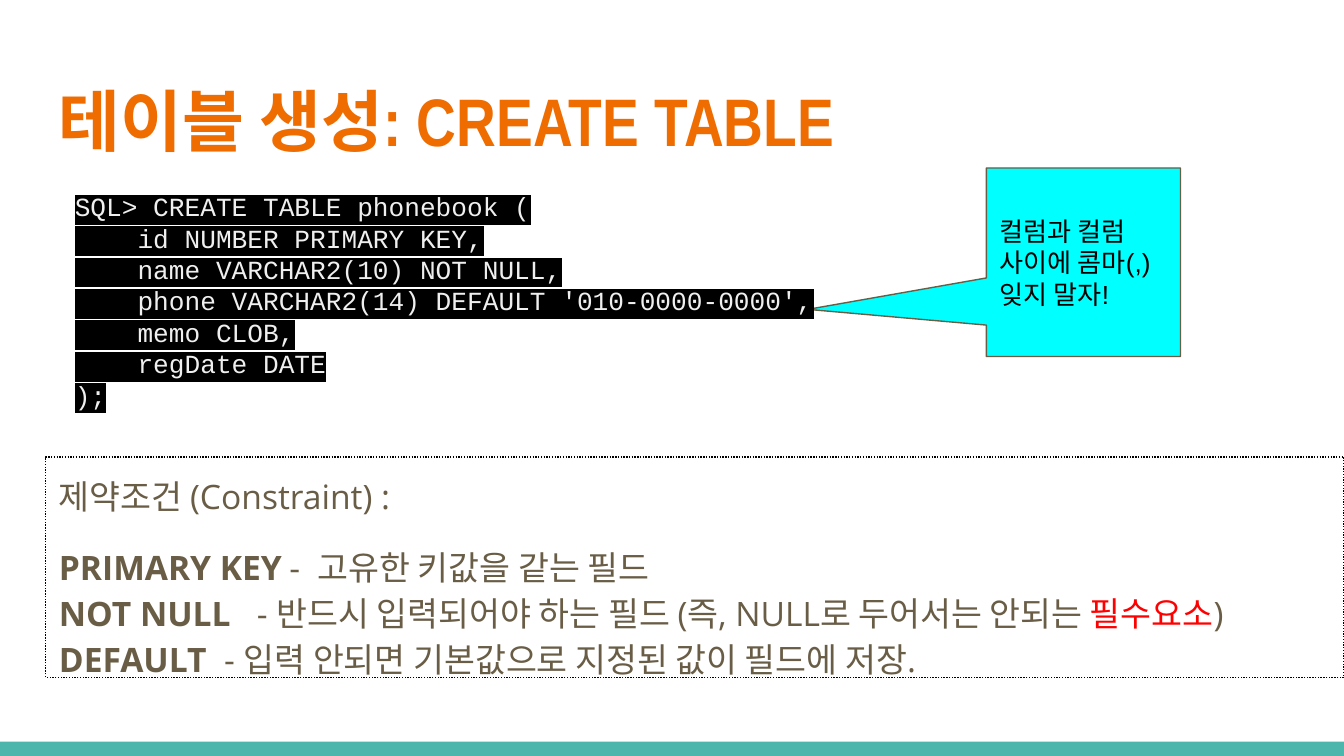
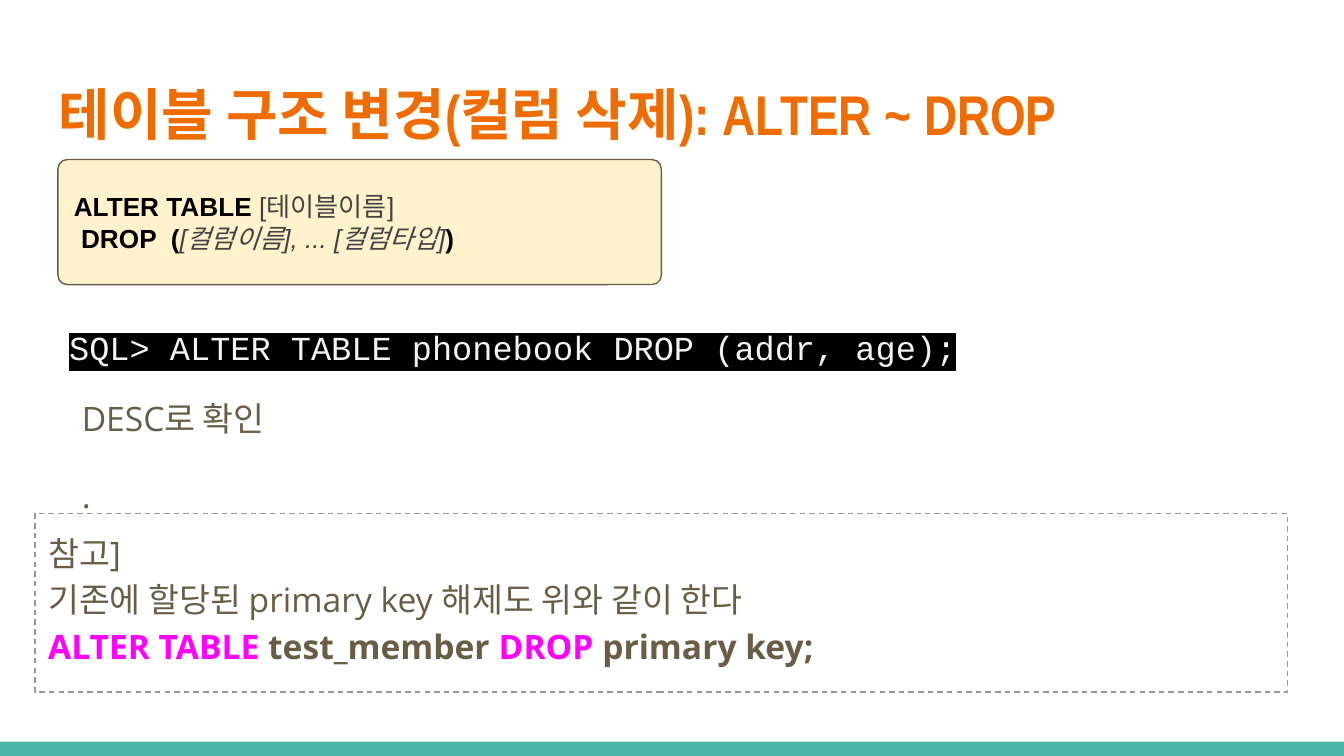
from lxml import etree
from pptx import Presentation
from pptx.dml.color import RGBColor
from pptx.enum import dml, shapes, text
from pptx.oxml import ns
from pptx.util import Pt

WHITE = RGBColor(0xFF, 0xFF, 0xFF)
BLACK = RGBColor(0, 0, 0)
TEAL = RGBColor(0x4D, 0xB6, 0xAC)
ORANGE = RGBColor(0xEF, 0x6C, 0x00)
BROWN = RGBColor(0x69, 0x5D, 0x46)
RED = RGBColor(0xFF, 0, 0)
CYAN = RGBColor(0, 0xFF, 0xFF)
PINK = RGBColor(0xFF, 0, 0xFF)
CREAM = RGBColor(0xFF, 0xF2, 0xCC)
DARK = RGBColor(0x43, 0x43, 0x43)
GREY = RGBColor(0x99, 0x99, 0x99)
PALE = RGBColor(0xEF, 0xEF, 0xEF)
SNOW = RGBColor(0xF3, 0xF3, 0xF3)

WIDTH, HEIGHT = 720, 405
BAND = 7.6
INSET = 7.2
TITLE = (24.5, 35.3, 671, 55.4)
KIND = shapes.MSO_SHAPE
DASH = dml.MSO_LINE


def frame(shape, middle=False):
    body = shape.text_frame
    body.word_wrap = True
    body.margin_left = body.margin_right = Pt(INSET)
    body.margin_top = body.margin_bottom = Pt(INSET)
    body.vertical_anchor = (text.MSO_ANCHOR.MIDDLE if middle
                            else text.MSO_ANCHOR.TOP)
    return body


def panel(slide, kind, box, fill=None, line=None, dash=None, adj=()):
    shape = slide.shapes.add_shape(kind, *map(Pt, box))
    shape.shadow.inherit = False
    for i, value in enumerate(adj):
        shape.adjustments[i] = value
    if fill is None:
        shape.fill.background()
    else:
        shape.fill.solid()
        shape.fill.fore_color.rgb = fill
    if line is None:
        shape.line.fill.background()
    else:
        shape.line.color.rgb = line
        shape.line.width = Pt(0.75)
        if dash:
            shape.line.dash_style = dash
    return shape


def add_run(para, words, **style):
    for i, part in enumerate(words.split("\n")):
        if i:
            para.add_line_break()
        if part:
            run = para.add_run()
            run.text = part
            for key, value in style.items():
                if key == "color":
                    run.font.color.rgb = value
                else:
                    setattr(run.font, key, value)


def write(body, rows, name, size, color, bold=None):
    paras = []
    for i, row in enumerate(rows):
        para = body.add_paragraph() if i else body.paragraphs[0]
        para.alignment = text.PP_ALIGN.LEFT
        para.font.name, para.font.size = name, Pt(size)
        para.font.color.rgb = color
        para.font.bold = bold
        for words, style in row:
            add_run(para, words, **style)
        paras.append(para)
    return paras


def mark(run, color):
    light = etree.SubElement(run._r.get_or_add_rPr(), ns.qn("a:highlight"))
    etree.SubElement(light, ns.qn("a:srgbClr"), val=str(color))


def page(deck, title, size):
    slide = deck.slides.add_slide(deck.slide_layouts[6])
    slide.background.fill.solid()
    slide.background.fill.fore_color.rgb = WHITE
    panel(slide, KIND.RECTANGLE, (0, HEIGHT - BAND, WIDTH, BAND), TEAL)
    head = slide.shapes.add_textbox(*map(Pt, TITLE))
    write(frame(head), [[(title, {})]], "Arial Narrow", size, ORANGE, True)
    return slide


def code(slide, box, lines, size, color):
    area = slide.shapes.add_textbox(*map(Pt, box))
    rows = [[(line, {})] for line in lines]
    for para in write(frame(area), rows, "Courier New", size, color):
        for run in para.runs:
            mark(run, BLACK)


def notes(shape, rows):
    paras = write(frame(shape), rows, "Open Sans", 18, BROWN)
    for para in paras:
        para.line_spacing = 1.15
        para.space_after = Pt(16)
    return paras


def tip(slide, kind, box, fill, adj, row):
    shape = panel(slide, kind, box, fill, BROWN, adj=adj)
    write(frame(shape, True), [row], "Arial", 14, BLACK)


def create(deck):
    slide = page(deck, "테이블 생성: CREATE TABLE", 36)
    strong = {"bold": True}
    area = panel(slide, KIND.RECTANGLE, (24.5, 244.8, 695.5, 118.1),
                 line=BLACK, dash=DASH.ROUND_DOT)
    first, key, _ = notes(area, [
        [("제약조건 (Constraint) :", {})],
        [("PRIMARY KEY", strong),
         (" ", {"name": "Arial", "size": Pt(14), "color": BLACK}),
         ("-  고유한 키값을 같는 필드", {})],
        [("NOT NULL", strong),
         ("   - 반드시 입력되어야 하는 필드 (즉, NULL로 두어서는 안되는 ", {}),
         ("필수요소", {"color": RED}),
         (")\n", {}),
         ("DEFAULT ", strong),
         (" - 입력 안되면 기본값으로 지정된 값이 필드에 저장.", {})],
    ])
    first.space_after = key.space_after = Pt(0)
    key.space_before = Pt(16)
    key.line_spacing = 1.0
    tip(slide, KIND.ROUNDED_RECTANGULAR_CALLOUT, (528.4, 90, 104, 101),
        CYAN, (-1.42, 0.25, 0),
        [("컬럼과 컬럼 사이에 콤마(,)  잊지 말자!", {})])
    code(slide, (33, 95, 410.4, 139), [
        "SQL> CREATE TABLE phonebook (",
        "    id NUMBER PRIMARY KEY,",
        "    name VARCHAR2(10) NOT NULL,",
        "    phone VARCHAR2(14) DEFAULT '010-0000-0000',",
        "    memo CLOB,",
        "    regDate DATE",
        ");",
    ], 14, PALE)


def drop(deck):
    slide = page(deck, "테이블 구조 변경(컬럼 삭제): ALTER ~ DROP", 30)
    strong = {"bold": True}
    hot = {"bold": True, "color": PINK}
    check = slide.shapes.add_textbox(*map(Pt, (36.7, 203, 671, 46.8)))
    notes(check, [[("DESC로 확인", {})], [(".", {})]])
    area = panel(slide, KIND.RECTANGLE, (18.7, 275, 671, 95.8),
                 line=GREY, dash=DASH.DASH)
    notes(area, [[
        ("참고]\n기존에 할당된 primary key 해제도 위와 같이 한다\n", {}),
        ("ALTER TABLE", hot), (" test_member ", strong),
        ("DROP ", hot), ("primary key;", strong),
    ]])
    tip(slide, KIND.ROUNDED_RECTANGLE, (31, 85.5, 323.3, 67), CREAM, (0.075,), [
        ("ALTER TABLE ", strong),
        ("[테이블이름] \n ", {"color": DARK}),
        ("DROP  (", strong),
        ("[컬럼이름], ... [컬럼타입]", {"color": DARK, "italic": True}),
        (")", strong),
    ])
    code(slide, (30, 168, 518.4, 39.6),
         ["SQL> ALTER TABLE phonebook DROP (addr, age);"], 18, SNOW)


def main():
    deck = Presentation()
    deck.slide_width, deck.slide_height = Pt(WIDTH), Pt(HEIGHT)
    create(deck)
    drop(deck)
    deck.save("out.pptx")


if __name__ == "__main__":
    main()
